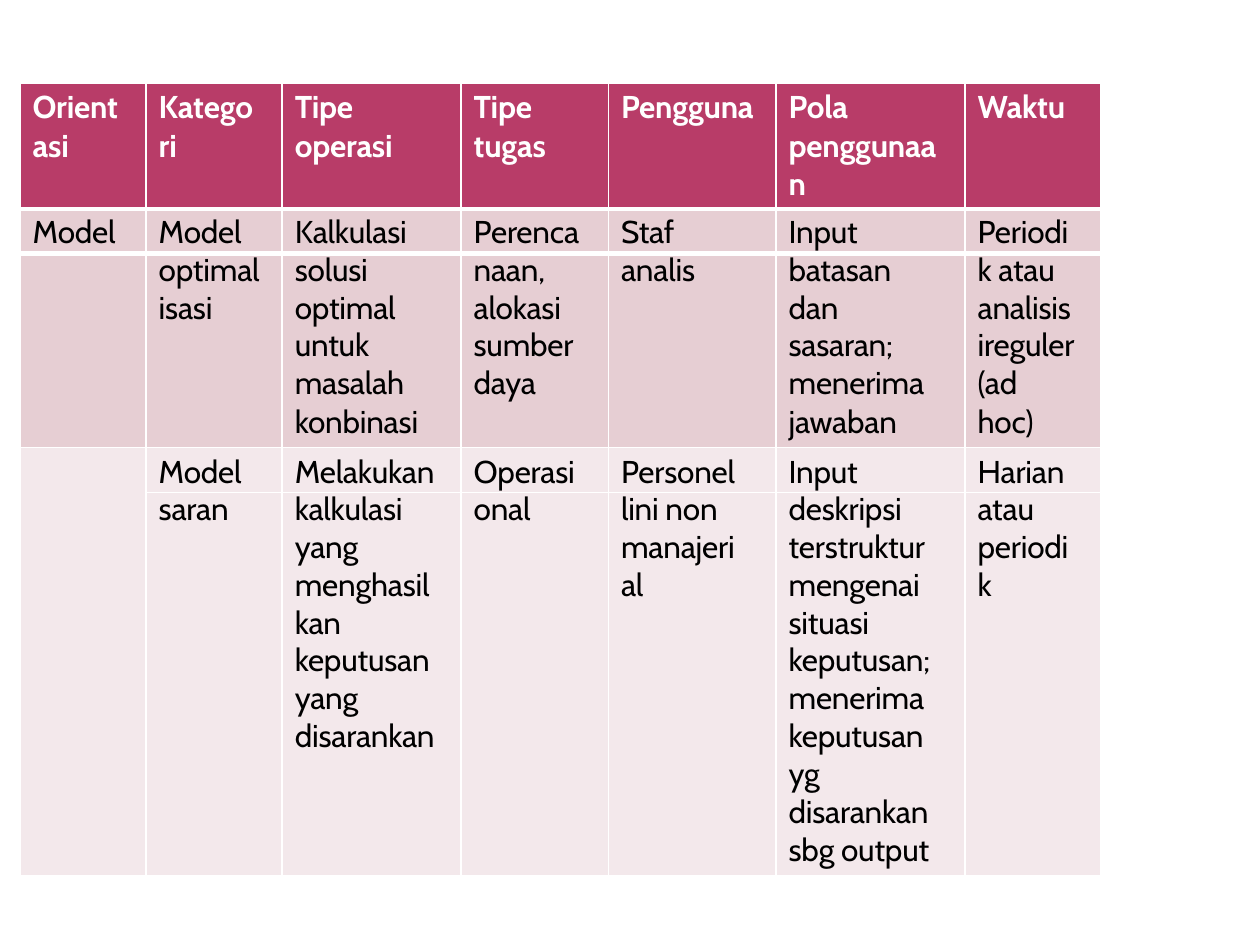
from lxml import etree
from pptx import Presentation
from pptx.dml.color import RGBColor
from pptx.oxml.ns import qn
from pptx.util import Inches, Pt

WHITE = RGBColor(0xFF, 0xFF, 0xFF)
BLACK = RGBColor(0, 0, 0)
MAGENTA = RGBColor(0xB8, 0x3C, 0x68)
ROSE = RGBColor(0xE6, 0xCE, 0xD3)
PALE_ROSE = RGBColor(0xF3, 0xE8, 0xEB)
PLAIN_STYLE = "{2D5ABB26-0587-4C30-8999-92F81FD0307C}"

COLUMN_WIDTHS = [1, 1.08, 1.42, 1.17, 1.33, 1.5, 1.08]
HEADER_HEIGHT, LINE_HEIGHT, LAST_HEIGHT = 1, 0.3, 0.34
HEADERS = [["Orient", "asi"], ["Katego", "ri"], ["Tipe", "operasi"],
           ["Tipe", "tugas"], ["Pengguna"], ["Pola penggunaa n"], ["Waktu"]]
OPTIMISATION = [
    ["Model"],
    ["Model", "optimal", "isasi"],
    ["Kalkulasi", "solusi", "optimal", "untuk", "masalah", "konbinasi"],
    ["Perenca", "naan,", "alokasi", "sumber", "daya"],
    ["Staf", "analis"],
    ["Input", "batasan", "dan", "sasaran;", "menerima", "jawaban"],
    ["Periodi", "k atau", "analisis", "ireguler", "(ad", "hoc)"],
]
SUGGESTION = [
    [],
    ["Model", "saran"],
    ["Melakukan", "kalkulasi", "yang", "menghasil", "kan", "keputusan", "yang",
     "disarankan"],
    ["Operasi", "onal"],
    ["Personel", "lini non", "manajeri", "al"],
    ["Input", "deskripsi", "terstruktur", "mengenai", "situasi", "keputusan;",
     "menerima", "keputusan", "yg", "disarankan", "sbg output"],
    ["Harian", "atau", "periodi", "k"],
]


def write_text(cell, lines, color=BLACK, bold=False, top=0, before=0,
               spacing=None, right=0):
    cell.margin_left = cell.margin_right = cell.margin_bottom = 0
    cell.margin_top = Inches(top)
    frame = cell.text_frame
    for index, line in enumerate(lines):
        paragraph = frame.add_paragraph() if index else frame.paragraphs[0]
        properties = paragraph._p.get_or_add_pPr()
        properties.set("marL", str(Inches(0.1)))
        properties.set("marR", str(Inches(right)))
        properties.set("indent", "0")
        if index == 0:
            paragraph.space_before = Pt(before)
        if spacing:
            paragraph.line_spacing = Pt(spacing)
        run = paragraph.add_run()
        run.text = line
        font = run.font
        font.name, font.size, font.bold = "Cabin", Pt(18), bold
        font.color.rgb = color
        font._element.set("spc", "-10")
    if not lines:
        paragraph = frame.paragraphs[0]._p
        etree.SubElement(paragraph, qn("a:endParaRPr"), sz="1200")


def style_cell(cell, fill, **borders):
    cell.fill.solid()
    cell.fill.fore_color.rgb = fill
    properties = cell._tc.get_or_add_tcPr()
    widths = {"L": 1, "R": 1, **borders}
    sides = [side for side in "LRTB" if side in widths]
    for position, side in enumerate(sides):
        line = etree.Element(qn(f"a:ln{side}"), w=str(Pt(widths[side])))
        solid = etree.SubElement(line, qn("a:solidFill"))
        etree.SubElement(solid, qn("a:srgbClr"), val=str(WHITE))
        properties.insert(position, line)


def add_grid(slide, heights):
    frame = slide.shapes.add_table(
        len(heights), len(COLUMN_WIDTHS), Inches(0.16), Inches(0.66),
        Inches(sum(COLUMN_WIDTHS)), Inches(sum(heights)))
    table = frame.table
    table.first_row = table.horz_banding = False
    table._tbl.tblPr.find(qn("a:tableStyleId")).text = PLAIN_STYLE
    for column, width in zip(table.columns, COLUMN_WIDTHS):
        column.width = Inches(width)
    for row, height in zip(table.rows, heights):
        row.height = Inches(height)
    return table


def fill_header(table):
    for column, lines in enumerate(HEADERS):
        cell = table.cell(0, column)
        write_text(cell, lines, color=WHITE, bold=True, top=0.04, before=3.1,
                   right=0.15)
        style_cell(cell, MAGENTA, T=1, B=3)


def fill_block(table, first_row, block, fill, rule, top):
    count = max(map(len, block))
    for column, lines in enumerate(block):
        for index in range(count):
            cell = table.cell(first_row + index, column)
            content = lines[index:index + 1]
            if index == 0:
                write_text(cell, content, top=top, before=3.2, spacing=21.4)
                style_cell(cell, fill, T=rule, B=rule)
            elif index == count - 1:
                write_text(cell, content, spacing=20.9)
                style_cell(cell, fill, B=1)
            else:
                write_text(cell, content, spacing=20.6)
                style_cell(cell, fill)


def block_heights(block, first_height):
    middle = max(map(len, block)) - 2
    return [first_height] + [LINE_HEIGHT] * middle + [LAST_HEIGHT]


def main():
    presentation = Presentation()
    presentation.slide_width, presentation.slide_height = Inches(10), Inches(7.5)
    slide = presentation.slides.add_slide(presentation.slide_layouts[6])
    upper = block_heights(OPTIMISATION, 0.35)
    lower = block_heights(SUGGESTION, 0.36)
    table = add_grid(slide, [HEADER_HEIGHT] + upper + lower)
    fill_header(table)
    fill_block(table, 1, OPTIMISATION, ROSE, rule=3, top=0.04)
    start = 1 + len(upper)
    fill_block(table, start, SUGGESTION, PALE_ROSE, rule=1, top=0.05)
    table.cell(start, 0).merge(table.cell(start + len(lower) - 1, 0))
    presentation.save("out.pptx")


if __name__ == "__main__":
    main()
